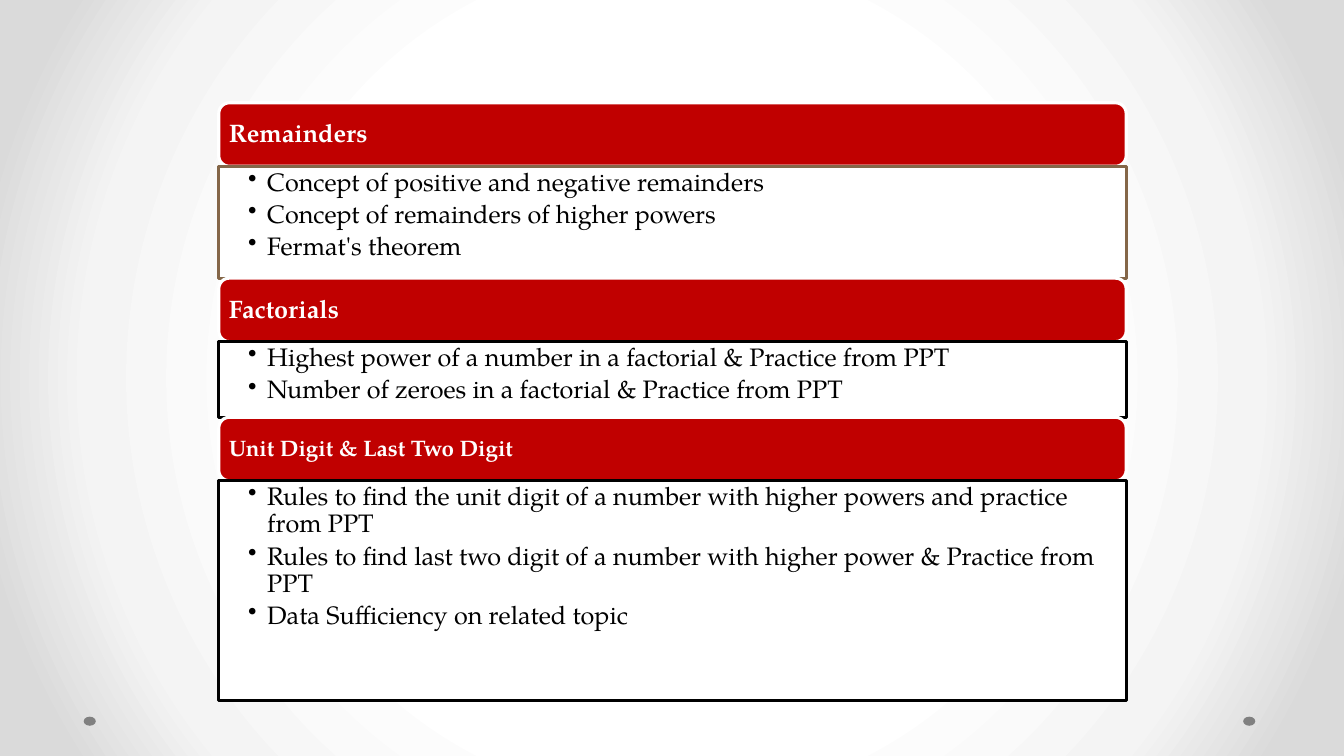
from dataclasses import dataclass

from lxml.etree import SubElement
from pptx import Presentation
from pptx.dml.color import RGBColor
from pptx.enum.shapes import MSO_SHAPE
from pptx.enum.text import MSO_ANCHOR, PP_ALIGN
from pptx.oxml.ns import qn
from pptx.util import Inches, Pt


@dataclass(frozen=True)
class Theme:
    """Colours, font and type sizes of the slide."""
    font: str = "TeX Gyre Pagella"
    red: str = "C00000"
    white: str = "FFFFFF"
    black: str = "000000"
    brown: str = "846648"
    grey: str = "808080"
    backdrop: tuple = ((50, "FFFFFF"), (76, "F4F4F4"), (92, "DADADA"))
    body_size: int = 18
    small_heading_size: int = 16
    border: float = 2.25


THEME = Theme()
LEFT, TOP, WIDTH, HEADING_HEIGHT = 2.17, 1.02, 9, 0.63
TOPICS = (
    ("Remainders", THEME.body_size, THEME.brown, 1.11, (
        "Concept of positive and negative remainders",
        "Concept of remainders of higher powers",
        "Fermat's theorem")),
    ("Factorials", THEME.body_size, THEME.black, 0.75, (
        "Highest power of a number in a factorial & Practice from PPT",
        "Number of zeroes in a factorial & Practice from PPT")),
    ("Unit Digit & Last Two Digit", THEME.small_heading_size, THEME.black, 2.18, (
        "Rules to find the unit digit of a number with higher powers and practice from PPT",
        "Rules to find last two digit of a number with higher power & Practice from PPT",
        "Data Sufficiency on related topic")),
)


def paint_backdrop(slide):
    """Fill the background with a circular gradient."""
    fill = slide.background.fill
    fill.gradient()
    gradient = slide.background._cSld.find(".//" + qn("a:gradFill"))
    for child in list(gradient):
        gradient.remove(child)
    stops = SubElement(gradient, qn("a:gsLst"))
    for percent, colour in THEME.backdrop:
        stop = SubElement(stops, qn("a:gs"), pos=str(percent * 1000))
        SubElement(stop, qn("a:srgbClr"), val=colour)
    circle = SubElement(gradient, qn("a:path"), path="circle")
    SubElement(circle, qn("a:fillToRect"), {side: "50000" for side in "ltrb"})


def add_panel(slide, preset, box, colour, border=None):
    """Add a flat preset shape with an optional border."""
    panel = slide.shapes.add_shape(preset, *map(Inches, box))
    panel.shadow.inherit = False
    panel.fill.solid()
    panel.fill.fore_color.rgb = RGBColor.from_string(colour)
    if border:
        panel.line.color.rgb = RGBColor.from_string(border)
        panel.line.width = Pt(THEME.border)
    else:
        panel.line.fill.background()
    return panel


def set_insets(frame, left, right, vertical):
    """Set wrapping and the inner margins of a text frame."""
    frame.word_wrap = True
    frame.margin_left, frame.margin_right = Inches(left), Inches(right)
    frame.margin_top = frame.margin_bottom = Inches(vertical)


def format_paragraph(paragraph, size, colour, bold=False):
    """Apply the shared paragraph and run format."""
    paragraph.alignment = PP_ALIGN.LEFT
    paragraph.line_spacing = 0.9
    for run in paragraph.runs:
        run.font.name = THEME.font
        run.font.size = Pt(size)
        run.font.bold = bold
        run.font.color.rgb = RGBColor.from_string(colour)


def add_heading(slide, top, heading, size):
    """Add a red rounded topic bar."""
    bar = add_panel(slide, MSO_SHAPE.ROUNDED_RECTANGLE,
                    (LEFT, top, WIDTH, HEADING_HEIGHT), THEME.red, THEME.white)
    frame = bar.text_frame
    set_insets(frame, 0.07, 0.07, 0.07)
    frame.vertical_anchor = MSO_ANCHOR.MIDDLE
    frame.text = heading
    format_paragraph(frame.paragraphs[0], size, THEME.white, bold=True)


def add_points(slide, top, height, border, points):
    """Add a bordered box with the bulleted points of a topic."""
    box = add_panel(slide, MSO_SHAPE.RECTANGLE,
                    (LEFT, top, WIDTH, height), THEME.white, border)
    frame = box.text_frame
    set_insets(frame, 0.29, 0.14, 0.03)
    frame.vertical_anchor = MSO_ANCHOR.TOP
    frame.text = "\n".join(points)
    for paragraph in frame.paragraphs:
        paragraph.level = 1
        properties = paragraph._p.get_or_add_pPr()
        properties.set("marL", str(Inches(0.19)))
        properties.set("indent", str(Inches(-0.19)))
        SubElement(properties, qn("a:buChar"), char="•")
        paragraph.space_after = Pt(3.6)
        format_paragraph(paragraph, THEME.body_size, THEME.black)


def main():
    """Build the topic slide and save it."""
    deck = Presentation()
    deck.slide_width, deck.slide_height = Inches(13.33), Inches(7.5)
    slide = deck.slides.add_slide(deck.slide_layouts[6])
    paint_backdrop(slide)
    for dot_left in (12.33, 0.83):
        add_panel(slide, MSO_SHAPE.OVAL, (dot_left, 7.11, 0.12, 0.09), THEME.grey)
    top = TOP
    for heading, size, border, height, points in TOPICS:
        add_heading(slide, top, heading, size)
        add_points(slide, top + HEADING_HEIGHT, height, border, points)
        top += HEADING_HEIGHT + height
    deck.save("out.pptx")


if __name__ == "__main__":
    main()
